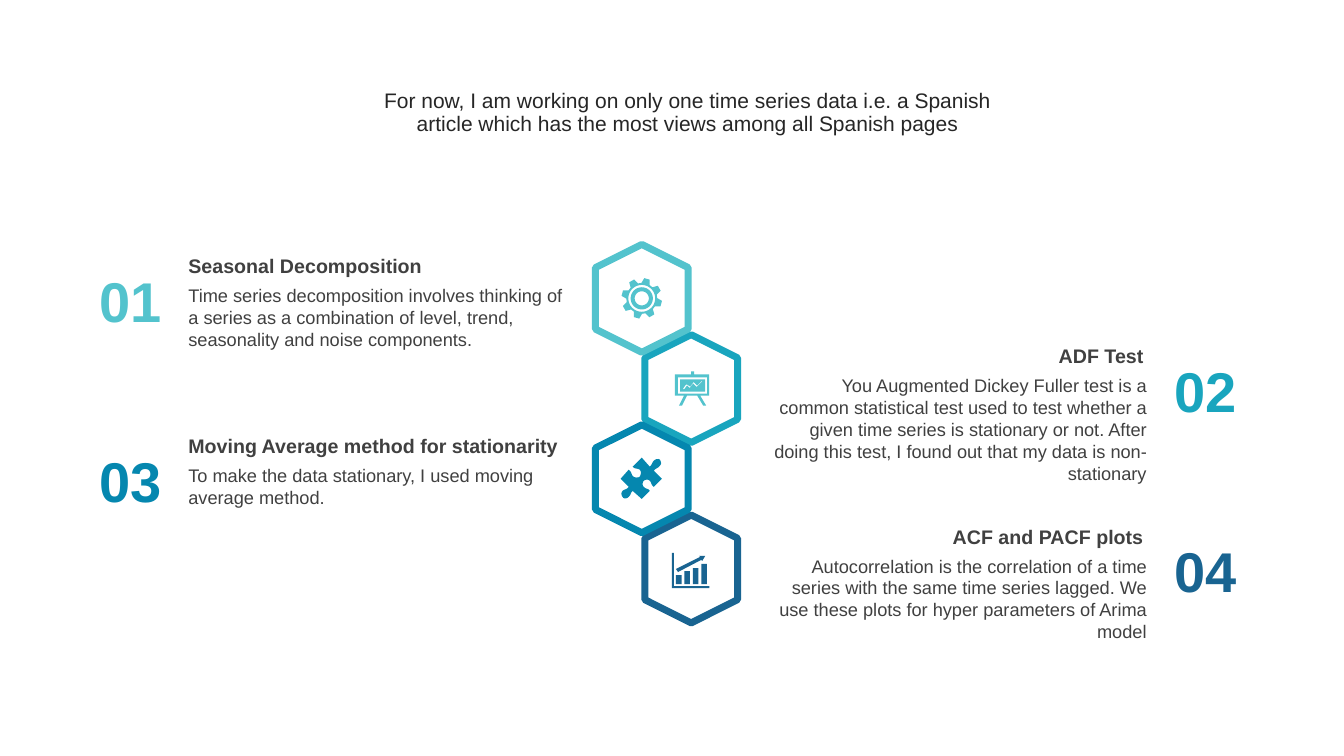
from math import cos, radians, sin

from pptx import Presentation
from pptx.dml.color import RGBColor
from pptx.enum.shapes import MSO_SHAPE
from pptx.enum.text import MSO_ANCHOR, MSO_AUTO_SIZE, PP_ALIGN
from pptx.oxml.xmlchemy import OxmlElement
from pptx.util import Inches, Pt

WHITE = RGBColor(0xFF, 0xFF, 0xFF)
INK = RGBColor(0x26, 0x26, 0x26)
GREY = RGBColor(0x40, 0x40, 0x40)
AQUA = RGBColor(0x53, 0xC3, 0xCD)
TEAL = RGBColor(0x19, 0xA5, 0xBE)
BLUE = RGBColor(0x05, 0x87, 0xAF)
NAVY = RGBColor(0x19, 0x64, 0x91)

INTRO = ("For now, I am working on only one time series data i.e. a Spanish article "
         "which has the most views among all Spanish pages")

# number, heading, description, description height, hexagon colour, icon, icon colour
STEPS = [
    ("01", "Seasonal Decomposition",
     "Time series decomposition involves thinking of a series as a combination of level, "
     "trend, seasonality and noise components.", 0.76, AQUA, "gear", AQUA),
    ("02", "ADF Test",
     "You Augmented Dickey Fuller test is a common statistical test used to test whether a "
     "given time series is stationary or not. After doing this test, I found out that my "
     "data is non-stationary", 1.19, TEAL, "board", AQUA),
    ("03", "Moving Average method for stationarity",
     "To make the data stationary, I used moving average method.", 0.54, BLUE, "puzzle", BLUE),
    ("04", "ACF and PACF plots",
     "Autocorrelation is the correlation of a time series with the same time series lagged. "
     "We use these plots for hyper parameters of Arima model", 0.98, NAVY, "growth", NAVY),
]
STACKING = [3, 1, 2, 0]

ROW = 0.895
FIRST_CENTRE = 2.96
HEXAGON_CENTRES = (6.365, 6.855)
HEXAGON_SIZE = (1.07, 0.92)
# left and width of the number, heading and description on each side
SIDES = [
    {"align": PP_ALIGN.LEFT, "number": (0.88, 0.83), "heading": (1.77, 3.94),
     "description": (1.77, 3.98)},
    {"align": PP_ALIGN.RIGHT, "number": (11.54, 0.83), "heading": (7.51, 3.93),
     "description": (7.51, 3.96)},
]

# Icon outlines: hundredths of an inch from the hexagon centre.
# Two values are a corner, six are a Bezier curve.
PUZZLE = [
    (18, -19), (19, -17, 20, -15, 18, -13), (16, -10, 14, -11, 12, -8), (20, 0), (12, 8),
    (9, 6, 10, 4, 8, 2), (6, 0, 3, 1, 2, 2), (1, 3, 0, 6, 2, 8), (5, 11, 6, 9, 8, 12),
    (0, 20), (-9, 12), (-12, 15, -10, 15, -13, 18), (-15, 20, -18, 20, -19, 18),
    (-20, 17, -21, 14, -19, 12), (-17, 10, -15, 11, -13, 8), (-21, 0), (-13, -9),
    (-9, -6, -11, -4, -8, -2), (-6, -1, -4, -1, -2, -2), (-1, -4, 0, -7, -2, -9),
    (-5, -11, -6, -9, -9, -12), (0, -21), (8, -12), (11, -15, 10, -16, 12, -18),
    (14, -20, 17, -20, 18, -19),
]
TREND = [(11, -8), (6, -3), (3, -6), (2, -6), (-1, -2), (-4, -4), (-5, -4), (-8, 0),
         (-7, 1), (-4, -3), (-2, -1), (-1, -1), (2, -5), (5, -2), (6, -2), (11, -7)]
EASEL_LEGS = [[(6, 7), (9, 7), (15, 17), (12, 17)], [(-7, 7), (-4, 7), (-9, 17), (-12, 17)]]
BAR_TOPS = [6, 2, -1, -5]
ARROW = [(8, -13), (14, -13), (11, -8), (10, -9), (-13, 3), (-15, 0), (9, -12)]
AXES = [(-19, -16), (-17, -16), (-17, 17), (18, 17), (18, 19), (-19, 19)]


def polar(radius, degrees):
    return radius * cos(radians(degrees)), radius * sin(radians(degrees))


def circle(radius):
    return [polar(radius, degrees) for degrees in range(0, 360, 6)]


def cog(teeth=8, root=15.3, tip=20.2):
    spread = [(root, -16), (tip, -8), (tip, 8), (root, 16)]
    return [polar(radius, 15 + tooth * 360 / teeth + turn)
            for tooth in range(teeth) for radius, turn in spread]


def rectangle(left, top, right, bottom):
    return [(left, top), (right, top), (right, bottom), (left, bottom)]


def flatten(outline, steps=6):
    """Turn the Bezier curves of an outline into short straight pieces."""
    points = []
    for node in outline:
        if len(node) == 2:
            points.append(node)
            continue
        controls = [points[-1], node[:2], node[2:4], node[4:]]
        for step in range(1, steps + 1):
            t = step / steps
            weights = [(1 - t) ** 3, 3 * t * (1 - t) ** 2, 3 * t * t * (1 - t), t ** 3]
            points.append(tuple(sum(w * c[axis] for w, c in zip(weights, controls))
                                for axis in (0, 1)))
    return points


ICONS = {
    "gear": [cog(), circle(13.3), circle(11), circle(7)],
    "board": [rectangle(-16, -14, 18, 7), rectangle(-13, -11, 16, 5),
              rectangle(-11, -9, 14, 3), rectangle(0, -17, 3, -14), TREND, *EASEL_LEGS],
    "puzzle": [PUZZLE],
    "growth": [AXES, ARROW, *(rectangle(-15 + 8.4 * i, top, -9.5 + 8.4 * i, 15)
                              for i, top in enumerate(BAR_TOPS))],
}


def draw_icon(page, outlines, centre, colour):
    fine = 100
    contours = [[(x * fine, y * fine) for x, y in flatten(outline)] for outline in outlines]
    builder = page.shapes.build_freeform(*contours[0][0], scale=Inches(0.01) / fine)
    builder.add_line_segments(contours[0][1:], close=True)
    for contour in contours[1:]:
        builder.move_to(*contour[0])
        builder.add_line_segments(contour[1:], close=True)
    icon = builder.convert_to_shape(*map(Inches, centre))
    icon.shadow.inherit = False
    icon.fill.solid()
    icon.fill.fore_color.rgb = colour
    icon.line.fill.background()


def draw_hexagon(page, centre, colour):
    corner = [c - size / 2 for c, size in zip(centre, HEXAGON_SIZE)]
    hexagon = page.shapes.add_shape(MSO_SHAPE.HEXAGON, *map(Inches, (*corner, *HEXAGON_SIZE)))
    hexagon.rotation = 90
    hexagon.shadow.inherit = False
    hexagon.fill.solid()
    hexagon.fill.fore_color.rgb = WHITE
    hexagon.line.color.rgb = colour
    hexagon.line.width = Pt(5)


def write(frame, text, align, colour, **font):
    para = frame.paragraphs[0]
    para.alignment = align
    span = para.add_run()
    span.text = text
    span.font.color.rgb = colour
    for name, value in {"name": "Arial", **font}.items():
        setattr(span.font, name, value)
    return para


def add_label(page, place, top, height, *words, **font):
    left, width = place
    box = page.shapes.add_textbox(*map(Inches, (left, top, width, height)))
    box.text_frame.word_wrap = True
    box.text_frame.auto_size = MSO_AUTO_SIZE.SHAPE_TO_FIT_TEXT
    write(box.text_frame, *words, **font)


def add_intro(page):
    title = page.shapes.title.element
    title.getparent().remove(title)
    intro = page.placeholders[1]
    bounds = {"left": 3.66, "top": 0.73, "width": 6.32, "height": 0.79}
    for name, value in bounds.items():
        setattr(intro, name, Inches(value))
    frame = intro.text_frame
    frame.auto_size = MSO_AUTO_SIZE.NONE
    frame.vertical_anchor = MSO_ANCHOR.MIDDLE
    para = write(frame, INTRO, PP_ALIGN.CENTER, INK, size=Pt(15))
    para.line_spacing = 0.9
    para.space_before = Pt(10)
    properties = para._p.get_or_add_pPr()
    properties.set("marL", "0")
    properties.set("indent", "0")
    properties.append(OxmlElement("a:buNone"))


def main():
    deck = Presentation()
    deck.slide_width, deck.slide_height = Inches(13.33), Inches(7.5)
    page = deck.slides.add_slide(deck.slide_layouts[1])
    add_intro(page)
    centres = [(HEXAGON_CENTRES[i % 2], FIRST_CENTRE + i * ROW) for i in range(len(STEPS))]
    for i in STACKING:
        draw_hexagon(page, centres[i], STEPS[i][4])
    for i, (number, heading, text, height, colour, icon, icon_colour) in enumerate(STEPS):
        side, middle = SIDES[i % 2], centres[i][1]
        add_label(page, side["number"], middle - 0.37, 0.77, number, PP_ALIGN.CENTER, colour,
                  size=Pt(40), bold=True)
        add_label(page, side["description"], middle - 0.19, height, text, side["align"], GREY,
                  size=Pt(13))
        add_label(page, side["heading"], middle - 0.49, 0.34, heading, side["align"], GREY,
                  size=Pt(14), bold=True)
        draw_icon(page, ICONS[icon], centres[i], icon_colour)
    deck.save("out.pptx")


if __name__ == "__main__":
    main()
